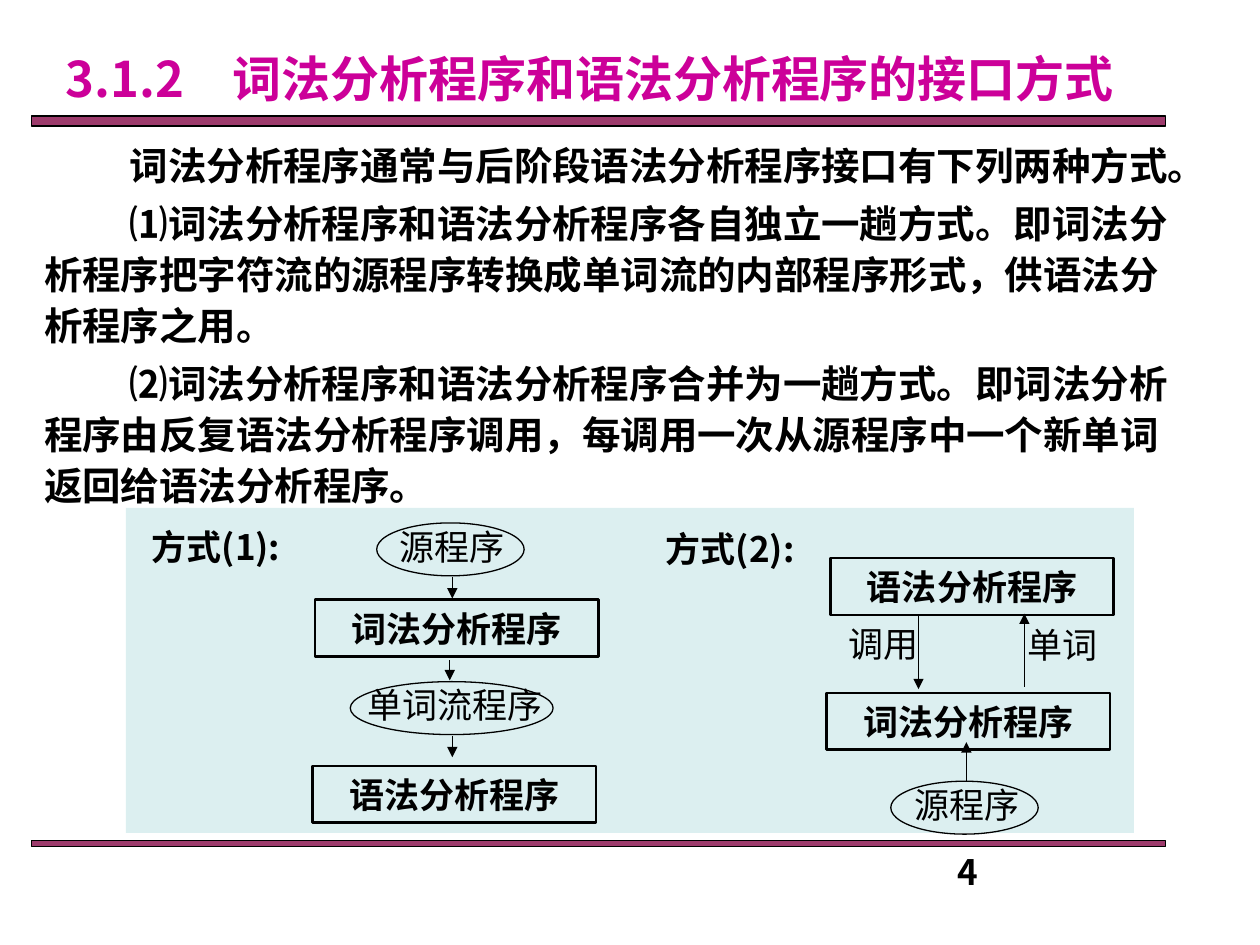
from lxml.etree import SubElement
from pptx import Presentation
from pptx.dml.color import RGBColor
from pptx.enum.shapes import MSO_CONNECTOR, MSO_SHAPE as Shape
from pptx.enum.text import MSO_ANCHOR as Anchor, PP_ALIGN as Align
from pptx.oxml.ns import qn
from pptx.util import Inches, Pt

FONT = "Noto Sans CJK SC"
color = RGBColor.from_string

deck = Presentation()
deck.slide_width, deck.slide_height = Inches(10), Inches(7.5)
COLUMN, ROW = deck.slide_width / 10, deck.slide_height / 7.5
slide = deck.slides.add_slide(deck.slide_layouts[1])
shapes = slide.shapes


def grid(*lengths):
    """Turn alternating column and row counts into lengths."""
    return [round(n * (ROW if i % 2 else COLUMN)) for i, n in enumerate(lengths)]


def style(frame, size, bold, align=Align.CENTER, ink="000000", anchor=Anchor.MIDDLE):
    frame.vertical_anchor = anchor
    for paragraph in frame.paragraphs:
        paragraph.alignment = align
        for run in paragraph.runs:
            run.font.size, run.font.bold = Pt(size), bold
            run.font.color.rgb = color(ink)
            run.font.name = FONT
            SubElement(run.font._element, qn("a:ea"), typeface=FONT)


# Title and body text
title = shapes.title
title.left, title.top, title.width, title.height = grid(0.42, 0.33, 8.67, 0.58)
title.text_frame.text = "3.1.2　词法分析程序和语法分析程序的接口方式"
title.text_frame.word_wrap = False
style(title.text_frame, 28, True, Align.LEFT, "CC0099")

body = slide.placeholders[1]
body.left, body.top, body.width, body.height = grid(0.25, 1.04, 9.25, 3.1)
body.text_frame.text = "\n".join([
    "词法分析程序通常与后阶段语法分析程序接口有下列两种方式。",
    "⑴词法分析程序和语法分析程序各自独立一趟方式。即词法分析程序把字符流的源程序"
    "转换成单词流的内部程序形式，供语法分析程序之用。",
    "⑵词法分析程序和语法分析程序合并为一趟方式。即词法分析程序由反复语法分析程序调用，"
    "每调用一次从源程序中一个新单词返回给语法分析程序。",
])
for number, paragraph in enumerate(body.text_frame.paragraphs):
    properties = paragraph._p.get_or_add_pPr()
    properties.set("marL", "0")
    properties.set("indent", str(Inches(0.68)))
    SubElement(properties, qn("a:buNone"))
    paragraph.line_spacing = Pt(29)
    paragraph.space_before = Pt(4.4 if number else 0)
style(body.text_frame, 22, True, Align.LEFT, anchor=Anchor.TOP)

# Rules above and below the content, and the diagram panel
for place, fill, opacity, outlined in [
    ((0.25, 0.92, 9, 0.08), "993366", 96, True),
    ((0.25, 6.67, 9, 0.05), "993366", 96, True),
    ((1, 4.03, 8, 2.58), "BBE0E3", 50, False),
]:
    band = shapes.add_shape(Shape.RECTANGLE, *grid(*place))
    band.shadow.inherit = False
    band.fill.solid()
    band.fill.fore_color.rgb = color(fill)
    tint = band.fill._xPr.find(".//" + qn("a:srgbClr"))
    SubElement(tint, qn("a:alpha"), val=str(opacity * 1000))
    if outlined:
        band.line.color.rgb = color("000000")
        band.line.width = Pt(0.75)
    else:
        band.line.fill.background()

# Programs are boxes, data are ellipses
for left, top, program in [
    (2.5, 4.76, "词法分析程序"), (2.48, 6.08, "语法分析程序"),
    (6.59, 4.43, "语法分析程序"), (6.56, 5.5, "词法分析程序"),
]:
    step = shapes.add_shape(Shape.RECTANGLE, *grid(left, top, 2.25, 0.45))
    step.shadow.inherit = False
    step.fill.background()
    step.line.color.rgb = color("000000")
    step.line.width = Pt(1.5)
    step.text_frame.text = program
    style(step.text_frame, 20, True)

for left, top, width in [(2.99, 4.15, 1.17), (2.78, 5.41, 1.61), (7.07, 6.2, 1.17)]:
    data = shapes.add_shape(Shape.OVAL, *grid(left, top, width, 0.42))
    data.shadow.inherit = False
    data.fill.background()
    data.line.color.rgb = color("000000")
    data.line.width = Pt(0.75)

for left, top, width, words, bold in [
    (3, 4.12, 1.17, "源程序", False),
    (2.8, 5.38, 1.62, "单词流程序", False),
    (7.09, 6.17, 1.17, "源程序", False),
    (7.98, 4.9, 0.9, "单词", False),
    (6.6, 4.89, 0.83, "调用", False),
    (1.05, 4.12, 1.33, "方式(1):", True),
    (5.13, 4.14, 1.33, "方式(2):", True),
]:
    label = shapes.add_textbox(*grid(left, top, width, 0.43))
    label.text_frame.text = words
    label.text_frame.word_wrap = False
    style(label.text_frame, 20, bold)

# Flow: column, start row, end row
for x, start, end in [
    (3.59, 4.58, 4.75), (3.57, 5.24, 5.4), (3.59, 5.84, 6.01),
    (7.67, 6.2, 5.89), (7.29, 4.89, 5.47), (8.13, 5.45, 4.87),
]:
    arrow = shapes.add_connector(MSO_CONNECTOR.STRAIGHT, *grid(x, start, x, end))
    arrow.line.color.rgb = color("000000")
    arrow.line.width = Pt(0.75)
    SubElement(arrow.line._get_or_add_ln(), qn("a:tailEnd"), type="triangle")
    SubElement(arrow._element.spPr, qn("a:effectLst"))

page_number = shapes.add_textbox(*grid(7.5, 6.75, 2.33, 0.27))
page_number.text_frame.text = "4"
page_number.text_frame.word_wrap = True
page_number.text_frame.margin_top = 0
style(page_number.text_frame, 20, True, Align.LEFT, anchor=Anchor.TOP)

deck.save("out.pptx")
